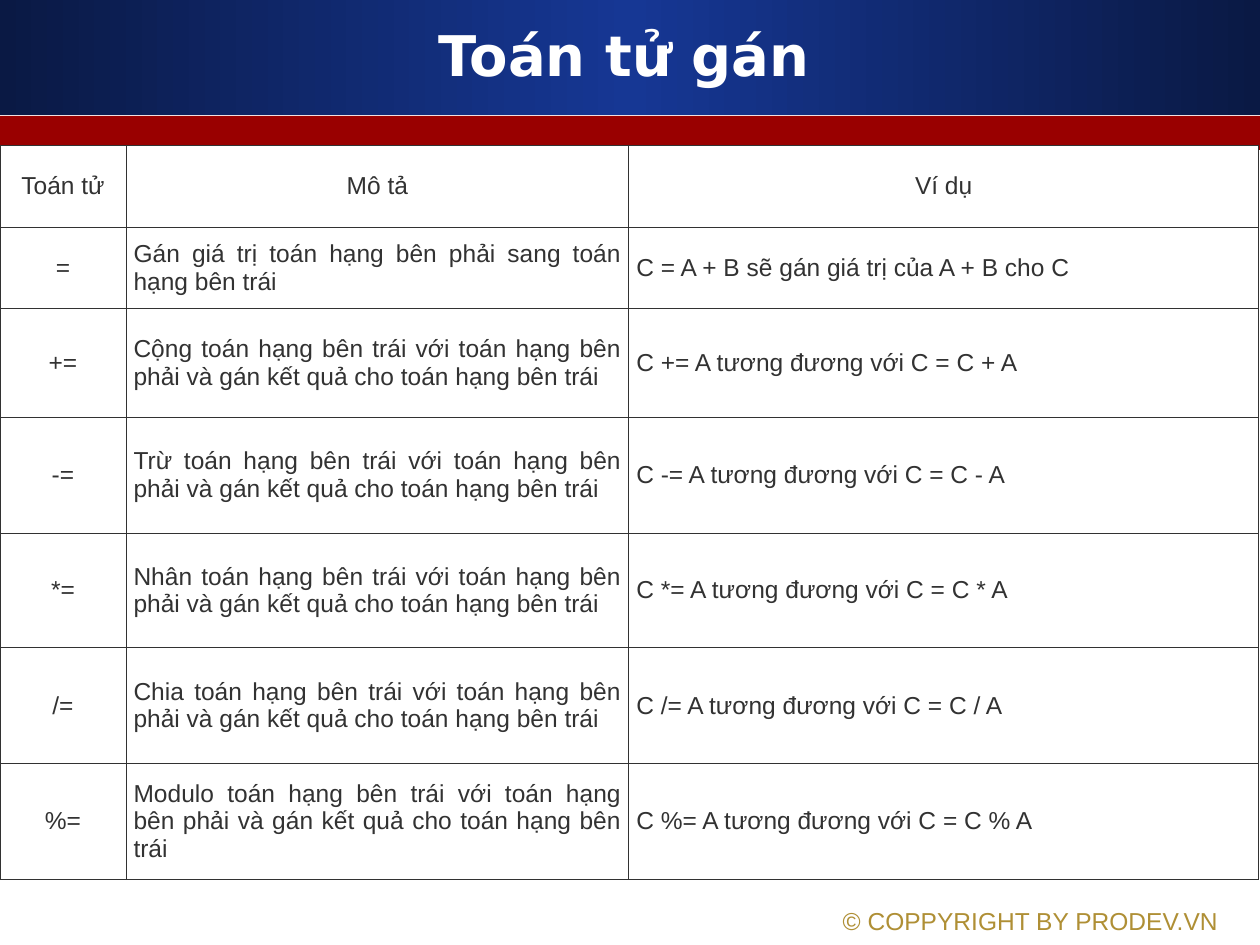
from copy import deepcopy

from lxml.etree import SubElement
from pptx import Presentation
from pptx.dml.color import RGBColor
from pptx.enum.shapes import MSO_SHAPE
from pptx.enum.text import MSO_ANCHOR, MSO_AUTO_SIZE, PP_ALIGN
from pptx.oxml.ns import qn
from pptx.util import Inches, Pt

NAVY, BLUE, RED, WHITE, INK, GOLD = "0A1944", "163794", "990000", "FFFFFF", "323232", "AF8F35"
BODY = {"name": "Arial", "size": Pt(14)}
HEADERS = ("Toán tử", "Mô tả", "Ví dụ")
TAIL = "toán hạng bên trái với toán hạng bên phải và gán kết quả cho toán hạng bên trái"
OPERATORS = [
    ("=", "Gán giá trị toán hạng bên phải sang toán hạng bên trái",
     "C = A + B sẽ gán giá trị của A + B cho C"),
    *((f"{op}=", f"{verb} {TAIL}", f"C {op}= A tương đương với C = C {op} A")
      for op, verb in (("+", "Cộng"), ("-", "Trừ"), ("*", "Nhân"), ("/", "Chia"), ("%", "Modulo"))),
]
COL_WIDTHS = (1, 3.99, 5)
ROW_HEIGHTS = (0.65, 0.65, 0.86, 0.92, 0.91, 0.92, 0.92)


def rgb(value):
    """Turn a hex string into a colour."""
    return RGBColor.from_string(value)


def set_all(obj, values):
    """Set each attribute in a dict."""
    for name, value in values.items():
        setattr(obj, name, value)


def write(p, text, color, font, align=PP_ALIGN.LEFT):
    """Write one formatted run in a paragraph."""
    p.alignment = align
    r = p.add_run()
    r.text = text
    set_all(r.font, font)
    r.font.color.rgb = rgb(color)


def add_band(s, box):
    """Add a plain rectangle without line or shadow."""
    sp = s.shapes.add_shape(MSO_SHAPE.RECTANGLE, *map(Inches, box))
    sp.shadow.inherit = False
    sp.line.fill.background()
    return sp


def add_banner(s, box):
    """Add the blue gradient banner."""
    fill = add_band(s, box).fill
    fill.gradient()
    fill.gradient_angle = 0
    first = fill.gradient_stops[0]._gs
    first.addnext(deepcopy(first))
    for stop, position, color in zip(fill.gradient_stops, (0, 0.5, 1), (NAVY, BLUE, NAVY)):
        stop.position = position
        stop.color.rgb = rgb(color)


def add_stripe(s, box):
    """Add the red stripe under the banner."""
    fill = add_band(s, box).fill
    fill.solid()
    fill.fore_color.rgb = rgb(RED)


def add_title(s, box, text):
    """Place the title placeholder in front of the banner."""
    sp = s.shapes.title
    s.shapes._spTree.append(sp._element)
    set_all(sp, dict(zip(("left", "top", "width", "height"), map(Inches, box))))
    tf = sp.text_frame
    set_all(tf, {"margin_left": 0, "margin_right": 0, "margin_top": 0, "margin_bottom": 0,
                 "vertical_anchor": MSO_ANCHOR.MIDDLE, "auto_size": MSO_AUTO_SIZE.NONE})
    p = tf.paragraphs[0]
    p.line_spacing = 0.8
    write(p, text, WHITE, {"name": "DejaVu Sans", "size": Pt(32), "bold": True}, PP_ALIGN.CENTER)


def add_footer(s, box, text):
    """Add the copyright line."""
    tf = s.shapes.add_textbox(*map(Inches, box)).text_frame
    tf.word_wrap = True
    write(tf.paragraphs[0], text, GOLD, BODY)


def format_cell(cell):
    """Give a cell its borders, fill and margins."""
    set_all(cell, {"margin_left": Inches(0.06), "margin_right": Inches(0.06),
                   "margin_top": Inches(0.05), "margin_bottom": Inches(0.05),
                   "vertical_anchor": MSO_ANCHOR.MIDDLE})
    tcPr = cell._tc.get_or_add_tcPr()
    for side in ("L", "R", "T", "B"):
        ln = SubElement(tcPr, qn(f"a:ln{side}"), w=str(Pt(0.34)))
        SubElement(SubElement(ln, qn("a:solidFill")), qn("a:srgbClr"), val=INK)
    cell.fill.solid()
    cell.fill.fore_color.rgb = rgb(WHITE)


def add_operator_table(s, box):
    """Add the table of assignment operators."""
    rows = [HEADERS, *OPERATORS]
    table = s.shapes.add_table(len(rows), len(HEADERS), *map(Inches, box)).table
    set_all(table, {"first_row": False, "horz_banding": False})
    for column, width in zip(table.columns, COL_WIDTHS):
        column.width = Inches(width)
    for i, (row, height) in enumerate(zip(table.rows, ROW_HEIGHTS)):
        row.height = Inches(height)
        for j, (cell, text) in enumerate(zip(row.cells, rows[i])):
            format_cell(cell)
            align = PP_ALIGN.CENTER if i == 0 or j == 0 else PP_ALIGN.JUSTIFY
            write(cell.text_frame.paragraphs[0], text, INK, BODY, align)


def main():
    """Build and save the slide."""
    prs = Presentation()
    set_all(prs, {"slide_width": Inches(10), "slide_height": Inches(7.5)})
    s = prs.slides.add_slide(prs.slide_layouts[5])
    add_banner(s, (0, 0, 10, 0.91))
    add_stripe(s, (0, 0.92, 10, 0.27))
    add_title(s, (0.33, 0.17, 9.25, 0.62), "Toán tử gán")
    add_footer(s, (6.59, 7.14, 3.4, 0.34), "© COPPYRIGHT BY PRODEV.VN")
    add_operator_table(s, (0, 1.15, sum(COL_WIDTHS), sum(ROW_HEIGHTS)))
    prs.save("out.pptx")


if __name__ == "__main__":
    main()
